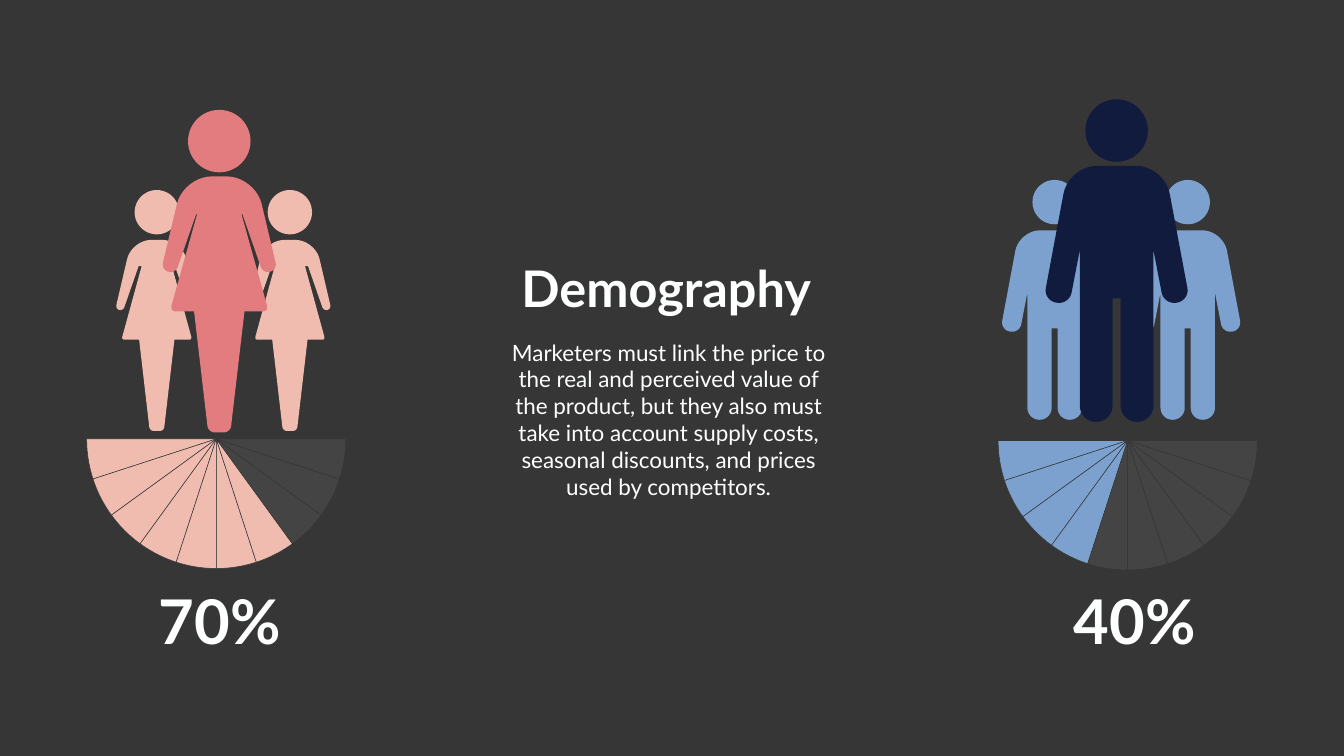
"""Build the demography slide with two groups of people and two half-circle gauges."""
from dataclasses import dataclass
from math import cos, hypot, pi, sin

from lxml.etree import SubElement
from pptx import Presentation
from pptx.dml.color import RGBColor
from pptx.enum.shapes import MSO_SHAPE
from pptx.enum.text import MSO_ANCHOR, MSO_AUTO_SIZE, PP_ALIGN
from pptx.oxml.ns import qn
from pptx.shapes.autoshape import Shape
from pptx.slide import Slide
from pptx.util import Pt

PX = 9144
COLORS = {
    "background": "363636",
    "text": "FEFFFF",
    "blush": "EFBCAF",
    "rose": "E27C7F",
    "sky": "7CA1CF",
    "navy": "111B3E",
    "empty": "808080",
}
SLICES = 10
CURVE_STEPS = 10
HANDLE = 0.55

Point = tuple[float, float]


@dataclass(frozen=True)
class Corner:
    x: int
    y: int
    cut: int = 0


@dataclass(frozen=True)
class Figure:
    center: int
    top: int
    half: list[Corner]
    head: int
    neck: int
    color: str
    scale: float = 1.0


@dataclass(frozen=True)
class Gauge:
    center: int
    top: int
    filled: int
    color: str
    radius: int = 257


@dataclass(frozen=True)
class Label:
    text: str
    left: int
    top: int
    width: int
    height: int
    size: int
    align: PP_ALIGN
    bold: bool = True
    wrap: bool = False


GIRL = [
    Corner(50, 0, 39), Corner(82, 137, 8), Corner(67, 141, 8),
    Corner(36, 52), Corner(30, 52), Corner(70, 198, 6),
    Corner(35, 198), Corner(14, 379, 8),
]
WOMAN = [
    Corner(71, 0, 56), Corner(115, 185, 14), Corner(87, 193, 14),
    Corner(46, 75), Corner(44, 75), Corner(98, 268, 12),
    Corner(50, 268), Corner(22, 508, 13),
]
MAN = [
    Corner(95, 0, 56), Corner(145, 267, 25), Corner(94, 276, 25),
    Corner(73, 167), Corner(73, 508, 32), Corner(8, 508, 32),
    Corner(8, 263),
]

GAUGES = [Gauge(429, 871, 7, "blush"), Gauge(2237, 874, 4, "sky")]
FIGURES = [
    Figure(575, 476, GIRL, 88, 11, "blush"),
    Figure(311, 476, GIRL, 88, 11, "blush"),
    Figure(435, 350, WOMAN, 124, 8, "rose"),
    Figure(2356, 457, MAN, 88, 12, "sky", 0.74),
    Figure(2092, 457, MAN, 88, 12, "sky", 0.74),
    Figure(2215, 329, MAN, 124, 8, "navy"),
]
TITLE = Label("Demography", 1018, 505, 607, 131, 72, PP_ALIGN.CENTER)
LABELS = [
    Label(
        "Marketers must link the price to the real and perceived value of the "
        "product, but they also must take into account supply costs, seasonal "
        "discounts, and prices used by competitors.",
        993, 667, 667, 333, 32, PP_ALIGN.CENTER, bold=False, wrap=True,
    ),
    Label("70%", 302, 1151, 265, 158, 88, PP_ALIGN.RIGHT),
    Label("40%", 2117, 1151, 265, 158, 88, PP_ALIGN.RIGHT),
]


def rgb(name: str) -> RGBColor:
    return RGBColor.from_string(COLORS[name])


def paint(shape: Shape, color: str) -> None:
    shape.shadow.inherit = False
    shape.fill.solid()
    shape.fill.fore_color.rgb = rgb(color)
    shape.line.fill.background()


def draw_polygon(slide: Slide, points: list[Point], color: str) -> Shape:
    corners = [(round(x * PX), round(y * PX)) for x, y in points]
    builder = slide.shapes.build_freeform(*corners[0], scale=1.0)
    builder.add_line_segments(corners[1:], close=True)
    shape = builder.convert_to_shape()
    paint(shape, color)
    return shape


def toward(start: Point, end: Point, length: float) -> Point:
    share = length / hypot(end[0] - start[0], end[1] - start[1])
    return tuple(a + (b - a) * share for a, b in zip(start, end))


def round_corner(before: Corner, corner: Corner, after: Corner) -> list[Point]:
    tip = (corner.x, corner.y)
    if not corner.cut:
        return [tip]
    ends = [(before.x, before.y), (after.x, after.y)]
    start, finish = (toward(tip, end, corner.cut) for end in ends)
    pull, release = (toward(tip, end, corner.cut * (1 - HANDLE)) for end in ends)
    curve = []
    for step in range(CURVE_STEPS + 1):
        t = step / CURVE_STEPS
        weights = ((1 - t) ** 3, 3 * t * (1 - t) ** 2, 3 * t * t * (1 - t), t**3)
        anchors = (start, pull, release, finish)
        curve.append(tuple(sum(w * a[axis] for w, a in zip(weights, anchors)) for axis in (0, 1)))
    return curve


def draw_figure(slide: Slide, figure: Figure) -> None:
    mirrored = [Corner(-corner.x, corner.y, corner.cut) for corner in reversed(figure.half)]
    outline = figure.half + mirrored
    points = []
    for index, corner in enumerate(outline):
        points += round_corner(outline[index - 1], corner, outline[(index + 1) % len(outline)])
    placed = [(figure.center + x * figure.scale, figure.top + y * figure.scale) for x, y in points]
    draw_polygon(slide, placed, figure.color)
    left = figure.center - figure.head // 2
    top = figure.top - figure.neck - figure.head
    head = slide.shapes.add_shape(
        MSO_SHAPE.OVAL, left * PX, top * PX, figure.head * PX, figure.head * PX
    )
    paint(head, figure.color)


def draw_gauge(slide: Slide, gauge: Gauge) -> None:
    for index in range(SLICES):
        points = [(gauge.center, gauge.top)]
        for step in range(CURVE_STEPS + 1):
            angle = pi * (index + step / CURVE_STEPS) / SLICES
            points.append((gauge.center - gauge.radius * cos(angle),
                           gauge.top + gauge.radius * sin(angle)))
        filled = index < gauge.filled
        wedge = draw_polygon(slide, points, gauge.color if filled else "empty")
        wedge.line.color.rgb = rgb("background")
        wedge.line.width = Pt(0.75)
        if not filled:
            color = wedge.fill._xPr.find(qn("a:solidFill"))[0]
            SubElement(color, qn("a:alpha"), val="20000")


def write_label(box: Shape, label: Label) -> None:
    for side in ("left", "top", "width", "height"):
        setattr(box, side, getattr(label, side) * PX)
    frame = box.text_frame
    frame_format = {
        "word_wrap": label.wrap,
        "auto_size": MSO_AUTO_SIZE.SHAPE_TO_FIT_TEXT,
        "vertical_anchor": MSO_ANCHOR.TOP,
    }
    for name, value in frame_format.items():
        setattr(frame, name, value)
    para = frame.paragraphs[0]
    para.alignment = label.align
    span = para.add_run()
    span.text = label.text
    for name, value in {"name": "Lato", "size": Pt(label.size), "bold": label.bold}.items():
        setattr(span.font, name, value)
    span.font.color.rgb = rgb("text")


def main() -> None:
    deck = Presentation()
    deck.slide_width, deck.slide_height = 2666 * PX, 1500 * PX
    page = deck.slides.add_slide(deck.slide_layouts[5])
    page.background.fill.solid()
    page.background.fill.fore_color.rgb = rgb("background")
    for gauge in GAUGES:
        draw_gauge(page, gauge)
    for figure in FIGURES:
        draw_figure(page, figure)
    write_label(page.shapes.title, TITLE)
    for label in LABELS:
        write_label(page.shapes.add_textbox(0, 0, PX, PX), label)
    deck.save("out.pptx")


if __name__ == "__main__":
    main()
